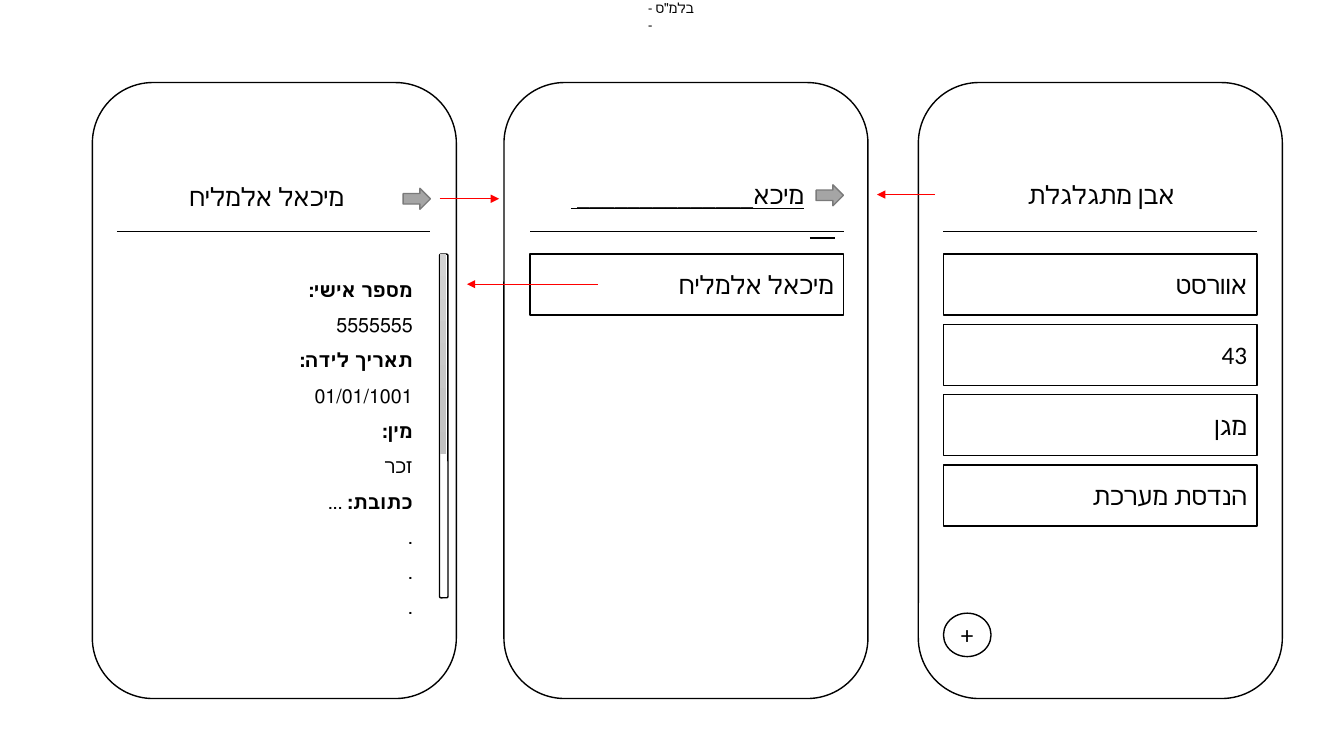
from lxml.etree import SubElement
from pptx import Presentation
from pptx.dml.color import RGBColor
from pptx.enum.shapes import MSO_CONNECTOR, MSO_SHAPE
from pptx.enum.text import MSO_ANCHOR, PP_ALIGN
from pptx.oxml.ns import qn
from pptx.util import Pt

COLORS = {
    "ink": "000000",
    "paper": "FFFFFF",
    "flow": "FF0000",
    "back": "A5A5A5",
    "back_edge": "7A7A7A",
    "thumb_top": "D2D2D2",
    "thumb_bottom": "C0C0C0",
}


class Wireframe:
    font = "Calibri"

    def __init__(self, slide):
        self.shapes = slide.shapes

    def color(self, name):
        return RGBColor.from_string(COLORS[name])

    def shape(self, kind, x, y, w, h, fill="paper", line="ink"):
        item = self.shapes.add_shape(kind, Pt(x), Pt(y), Pt(w), Pt(h))
        item.shadow.inherit = False
        item.fill.solid()
        item.fill.fore_color.rgb = self.color(fill)
        item.line.color.rgb = self.color(line)
        item.line.width = Pt(1)
        return item

    def set_text(self, frame, paragraphs, align, size=18, rtl=True, spacing=None):
        frame.word_wrap = True
        for index, runs in enumerate(paragraphs):
            paragraph = frame.add_paragraph() if index else frame.paragraphs[0]
            paragraph.alignment = align
            paragraph.line_spacing = spacing
            if rtl:
                paragraph._p.get_or_add_pPr().set("rtl", "1")
            for text, style in runs:
                run = paragraph.add_run()
                run.text = text
                run.font.name = self.font
                run.font.size = Pt(size)
                run.font.color.rgb = self.color("ink")
                run.font.bold = style == "bold"
                run.font.underline = style == "underline"

    def label(self, x, y, w, h, paragraphs, align=PP_ALIGN.CENTER, inset=None, **style):
        frame = self.shapes.add_textbox(Pt(x), Pt(y), Pt(w), Pt(h)).text_frame
        if inset is not None:
            frame.margin_left = frame.margin_right = Pt(inset)
            frame.margin_top = frame.margin_bottom = Pt(inset)
        self.set_text(frame, paragraphs, align, **style)

    def field(self, kind, x, y, w, h, text, align=PP_ALIGN.RIGHT):
        frame = self.shape(kind, x, y, w, h).text_frame
        frame.vertical_anchor = MSO_ANCHOR.MIDDLE
        self.set_text(frame, [[(text, None)]], align, rtl=False)

    def line(self, x1, y1, x2, y2, color="ink", width=0.5, arrow=False):
        line = self.shapes.add_connector(
            MSO_CONNECTOR.STRAIGHT, Pt(x1), Pt(y1), Pt(x2), Pt(y2))
        line.line.color.rgb = self.color(color)
        line.line.width = Pt(width)
        if arrow:
            SubElement(line.line._get_or_add_ln(), qn("a:tailEnd"), type="triangle")
        SubElement(line._element.spPr, qn("a:effectLst"))

    def phone(self, x, content_x):
        self.shape(MSO_SHAPE.ROUNDED_RECTANGLE, x, 59, 260, 440)
        self.line(content_x, 165, content_x + CONTENT_WIDTH, 165)

    def back_button(self, x, y):
        self.shape(MSO_SHAPE.RIGHT_ARROW, x, y, 19.5, 15, "back", "back_edge")

    def scrollbar(self, x, y):
        self.shape(MSO_SHAPE.ROUNDED_RECTANGLE, x, y, 6, 245.5)
        thumb = self.shape(MSO_SHAPE.ROUNDED_RECTANGLE, x, y, 5, 143)
        thumb.line.fill.background()
        thumb.fill.gradient()
        thumb.fill.gradient_angle = 270
        for stop, name in zip(thumb.fill.gradient_stops, ("thumb_top", "thumb_bottom")):
            stop.color.rgb = self.color(name)


CONTENT_WIDTH = 224
CONTENT_TOP = 181.5
FIELD_HEIGHT = 43.5
FIELD_STEP = 50.2
DETAILS_X, SEARCH_X, GROUPS_X = (83.5 + 295.2 * column for column in range(3))
GROUPS = ["אוורסט", "43", "מגן", "הנדסת מערכת"]
PERSON = "מיכאל אלמליח"
DETAILS = [
    [("מספר אישי:", "bold")],
    [("5555555", None)],
    [("תאריך לידה:", "bold")],
    [("01/01/1001", None)],
    [("מין: ", "bold")],
    [("זכר", None)],
    [("כתובת: ", "bold"), ("...", None)],
] + [[(".", None)]] * 3


def main():
    deck = Presentation()
    deck.slide_width, deck.slide_height = Pt(960), Pt(540)
    frame = Wireframe(deck.slides.add_slide(deck.slide_layouts[6]))

    frame.label(463, 0, 36.7, 12.2, [[('- בלמ"ס -', None)]],
                PP_ALIGN.LEFT, inset=0, size=10, rtl=False)

    frame.phone(656, GROUPS_X)
    for row, group in enumerate(GROUPS):
        frame.field(MSO_SHAPE.RECTANGLE, GROUPS_X, CONTENT_TOP + row * FIELD_STEP,
                    CONTENT_WIDTH, FIELD_HEIGHT, group)
    frame.label(675, 124.5, 223, 29, [[("אבן מתגלגלת", None)]])
    frame.field(MSO_SHAPE.OVAL, GROUPS_X, 438, 34, 31, "+", PP_ALIGN.CENTER)

    frame.phone(360, SEARCH_X)
    frame.label(379.5, 124.5, 202, 29, [[("מיכא______________ ", "underline")]],
                PP_ALIGN.RIGHT)
    frame.line(578.5, 170, 596.5, 170, width=1)
    frame.back_button(583, 132)
    frame.field(MSO_SHAPE.RECTANGLE, SEARCH_X, CONTENT_TOP,
                CONTENT_WIDTH, FIELD_HEIGHT, PERSON)

    frame.phone(66, DETAILS_X)
    frame.label(79, 126, 223, 29, [[(PERSON, None)]])
    frame.back_button(288, 134.5)
    frame.scrollbar(314, CONTENT_TOP)
    frame.label(89, 186.5, 213, 259, DETAILS, PP_ALIGN.RIGHT, size=14, spacing=1.5)

    for start, end, y in ((668, 626.5, 139), (427, 333.5, 203), (314, 356.5, 142)):
        frame.line(start, y, end, y, "flow", arrow=True)

    deck.save("out.pptx")


if __name__ == "__main__":
    main()
